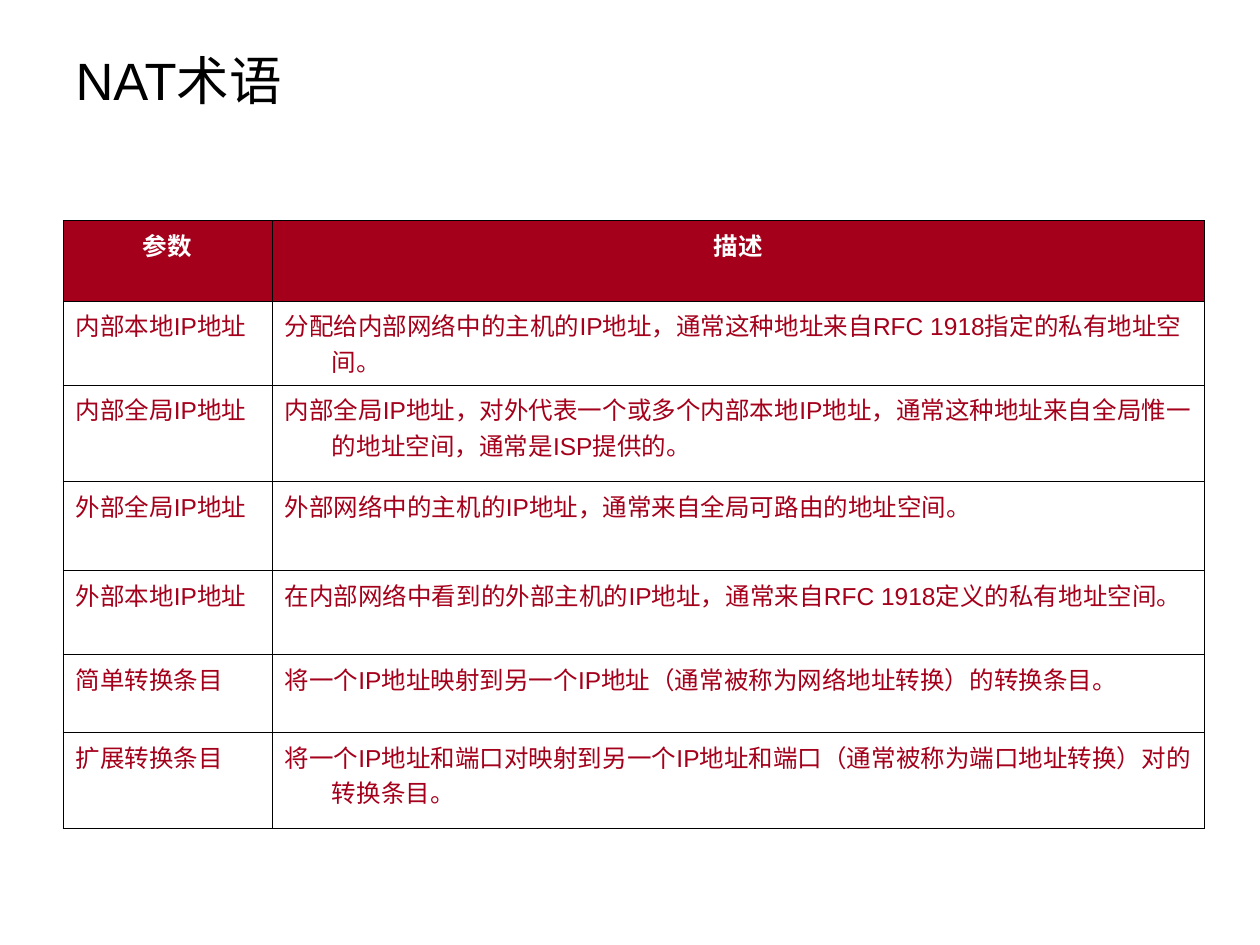
from dataclasses import dataclass

from pptx import Presentation
from pptx.dml.color import RGBColor
from pptx.enum import text
from pptx.oxml import parse_xml
from pptx.oxml import ns
from pptx.util import Pt


@dataclass(frozen=True)
class Theme:
    font: str = "Arial"
    title_size: float = 30
    cell_size: float = 14
    black: str = "000000"
    white: str = "FFFFFF"
    red: str = "A4001B"
    border: float = 0.45
    hang: float = 27


THEME = Theme()
COLUMNS = [119.5, 533]
ROW_HEIGHTS = [46, 48, 55, 51, 48, 44.5, 55]
TERMS = [
    ("参数", "描述"),
    ("内部本地IP地址", "分配给内部网络中的主机的IP地址，通常这种地址来自RFC 1918指定的私有地址空间。"),
    ("内部全局IP地址", "内部全局IP地址，对外代表一个或多个内部本地IP地址，通常这种地址来自全局惟一的地址空间，通常是ISP提供的。"),
    ("外部全局IP地址", "外部网络中的主机的IP地址，通常来自全局可路由的地址空间。"),
    ("外部本地IP地址", "在内部网络中看到的外部主机的IP地址，通常来自RFC 1918定义的私有地址空间。"),
    ("简单转换条目", "将一个IP地址映射到另一个IP地址（通常被称为网络地址转换）的转换条目。"),
    ("扩展转换条目", "将一个IP地址和端口对映射到另一个IP地址和端口（通常被称为端口地址转换）对的转换条目。"),
]


def add_run(p, words, size, color, bold=False):
    r = p.add_run()
    r.text = words
    r.font.name = THEME.font
    r.font.size = Pt(size)
    r.font.bold = bold
    r.font.color.rgb = RGBColor.from_string(color)


def set_borders(cell):
    tc_pr = cell._tc.get_or_add_tcPr()
    for i, side in enumerate(("lnL", "lnR", "lnT", "lnB")):
        tc_pr.insert(i, parse_xml(
            f'<a:{side} {ns.nsdecls("a")} w="{Pt(THEME.border)}"><a:solidFill>'
            f'<a:srgbClr val="{THEME.black}"/></a:solidFill></a:{side}>'))


def fill_cell(cell, words, header):
    if header:
        cell.fill.solid()
        cell.fill.fore_color.rgb = RGBColor.from_string(THEME.red)
    else:
        cell.fill.background()
    set_borders(cell)
    p = cell.text_frame.paragraphs[0]
    p.alignment = text.PP_ALIGN.CENTER if header else text.PP_ALIGN.LEFT
    p_pr = p._p.get_or_add_pPr()
    p_pr.set("marL", str(Pt(THEME.hang)))
    p_pr.set("indent", str(-Pt(THEME.hang)))
    add_run(p, words, THEME.cell_size, THEME.white if header else THEME.red, header)


def place_title(s, left, top, width, height):
    sp = s.shapes.title
    sp.left, sp.top, sp.width, sp.height = map(Pt, (left, top, width, height))
    tf = sp.text_frame
    tf.word_wrap = True
    tf.vertical_anchor = text.MSO_ANCHOR.MIDDLE
    p = tf.paragraphs[0]
    p.alignment = text.PP_ALIGN.LEFT
    add_run(p, "NAT术语", THEME.title_size, THEME.black)


def place_terms(s, left, top):
    frame = s.shapes.add_table(len(TERMS), len(COLUMNS), Pt(left), Pt(top),
                               Pt(sum(COLUMNS)), Pt(sum(ROW_HEIGHTS)))
    table = frame.table
    table.horz_banding = False
    table.first_row = False
    for column, width in zip(table.columns, COLUMNS):
        column.width = Pt(width)
    for i, (row, height) in enumerate(zip(table.rows, ROW_HEIGHTS)):
        row.height = Pt(height)
        for cell, words in zip(row.cells, TERMS[i]):
            fill_cell(cell, words, header=i == 0)


def main():
    prs = Presentation()
    prs.slide_width, prs.slide_height = Pt(720), Pt(540)
    s = prs.slides.add_slide(prs.slide_layouts[5])
    place_title(s, 36, 15, 590, 61)
    place_terms(s, 36, 126)
    prs.save("out.pptx")


if __name__ == "__main__":
    main()
